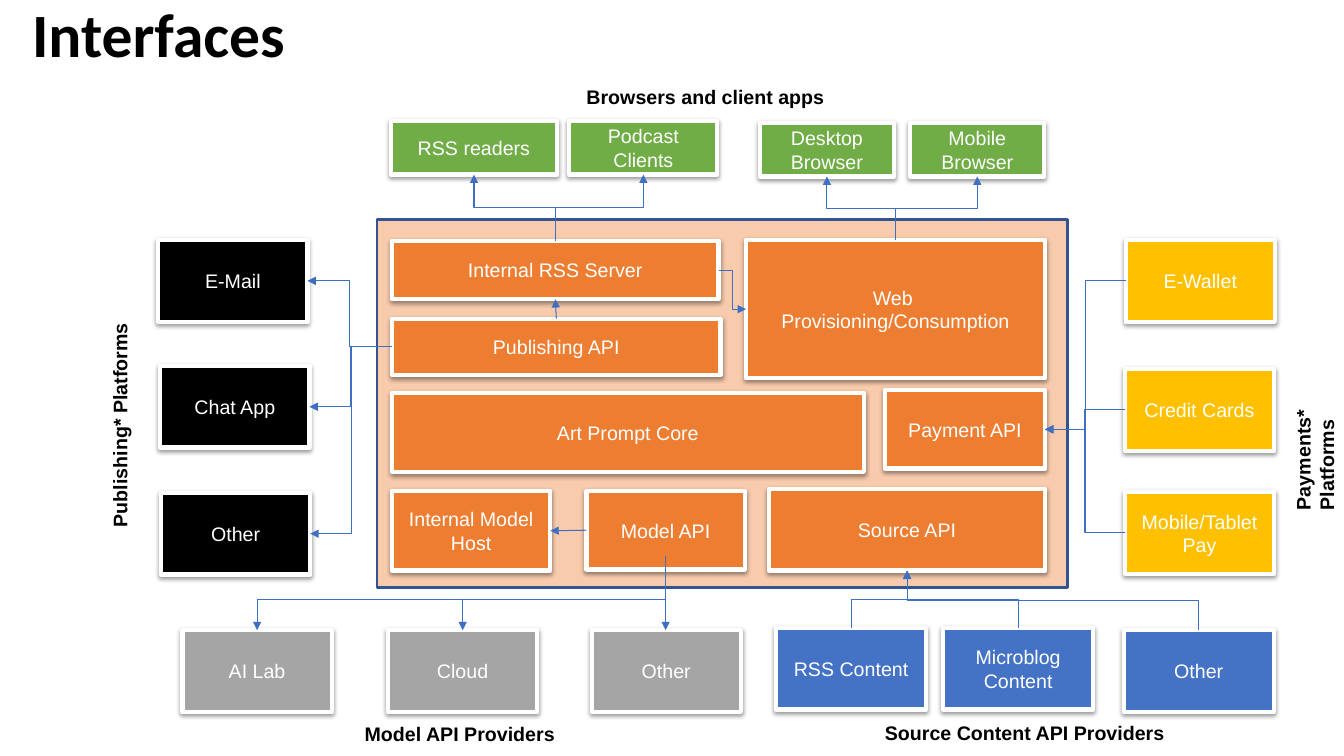
import pptx
import pptx.dml.color
import pptx.enum.shapes
import pptx.enum.text
import pptx.oxml
import pptx.oxml.ns
import pptx.util

Cm = pptx.util.Cm
Pt = pptx.util.Pt

ORANGE, GREEN, BLACK, YELLOW = "ED7D31", "70AD47", "000000", "FFC000"
GREY, BLUE, WHITE, ARROW = "A5A5A5", "4472C4", "FFFFFF", "3F6FC3"

# Left, top, width and height in centimetres
BOXES = {
    "rss_server": ("Internal RSS Server", ORANGE, 9.88, 6.07, 8.23, 1.47),
    "web": ("Web \nProvisioning/Consumption", ORANGE, 18.8, 6.05, 7.54, 3.48),
    "core": ("Art Prompt Core", ORANGE, 9.88, 9.91, 11.89, 1.98),
    "publishing": ("Publishing API", ORANGE, 9.88, 8.03, 8.28, 1.42),
    "payment": ("Payment API", ORANGE, 22.3, 9.83, 4.04, 1.98),
    "model_host": ("Internal Model Host", ORANGE, 9.88, 12.37, 3.99, 2.01),
    "model": ("Model API", ORANGE, 14.78, 12.37, 3.99, 1.98),
    "source": ("Source API", ORANGE, 19.38, 12.32, 6.96, 2.06),
    "rss_readers": ("RSS readers", GREEN, 9.86, 3.05, 4.17, 1.35),
    "podcasts": ("Podcast Clients", GREEN, 14.35, 3.05, 3.73, 1.35),
    "desktop": ("Desktop Browser", GREEN, 19.15, 3.1, 3.38, 1.35),
    "mobile": ("Mobile Browser", GREEN, 22.94, 3.1, 3.38, 1.35),
    "email": ("E-Mail", BLACK, 3.99, 6.05, 3.76, 2.06),
    "messenger": ("Chat App", BLACK, 4.04, 9.22, 3.76, 2.06),
    "other_publisher": ("Other", BLACK, 4.06, 12.42, 3.76, 2.06),
    "wallet": ("E-Wallet", YELLOW, 28.37, 6.05, 3.76, 2.06),
    "cards": ("Credit Cards", YELLOW, 28.35, 9.3, 3.76, 2.06),
    "device_pay": ("Mobile/Tablet Pay", YELLOW, 28.35, 12.4, 3.76, 2.06),
    "model_vendor": ("AI Lab", GREY, 4.6, 15.88, 3.76, 2.06),
    "cloud": ("Cloud", GREY, 9.78, 15.88, 3.76, 2.06),
    "other_model": ("Other", GREY, 14.91, 15.88, 3.76, 2.06),
    "rss_content": ("RSS Content", BLUE, 19.56, 15.82, 3.78, 2.06),
    "social": ("Microblog Content", BLUE, 23.77, 15.82, 3.78, 2.06),
    "other_source": ("Other", BLUE, 28.32, 15.88, 3.78, 2.06),
}

# From box, side it leaves, to boxes, side they are reached
ELBOWS = [
    ("publishing", "left", ["email", "messenger", "other_publisher"], "right"),
    ("model", "bottom", ["model_vendor", "cloud"], "top"),
    ("web", "top", ["desktop", "mobile"], "bottom"),
    ("rss_server", "top", ["rss_readers", "podcasts"], "bottom"),
    ("rss_content", "top", ["source"], "bottom"),
    ("social", "top", ["source"], "bottom"),
    ("other_source", "top", ["source"], "bottom"),
    ("wallet", "left", ["payment"], "right"),
    ("cards", "left", ["payment"], "right"),
    ("device_pay", "left", ["payment"], "right"),
    ("rss_server", "right", ["web"], "left"),
]

LABELS = [
    ("Browsers and client apps", 14.53, 2.01, 8.33, 0.86, False),
    ("Model API Providers", 8.94, 18.06, 5.92, 0.86, False),
    ("Source Content API Providers", 22.05, 18.03, 8.48, 0.86, False),
    ("Publishing* Platforms", 2.59, 6.81, 1.12, 6.73, True),
    ("Payments* Platforms", 32.41, 7.8, 1.12, 5.31, True),
]


def colour(value):
    return pptx.dml.color.RGBColor.from_string(value)


def write(frame, text, size, hue, font="Arial", bold=False, align=None):
    frame.word_wrap = True
    for index, line in enumerate(text.split("\n")):
        para = frame.add_paragraph() if index else frame.paragraphs[0]
        para.alignment = align
        span = para.add_run()
        span.text = line
        span.font.name = font
        span.font.size = Pt(size)
        span.font.bold = bold
        span.font.color.rgb = colour(hue)


def add_rectangle(page, left, top, width, height, fill, line, weight):
    box = page.shapes.add_shape(pptx.enum.shapes.MSO_SHAPE.RECTANGLE,
                                Cm(left), Cm(top), Cm(width), Cm(height))
    box.fill.solid()
    box.fill.fore_color.rgb = colour(fill)
    box.line.color.rgb = colour(line)
    box.line.width = Pt(weight)
    box.shadow.inherit = False
    return box


def add_box(page, text, fill, left, top, width, height):
    box = add_rectangle(page, left, top, width, height, fill, WHITE, 3)
    effects = box.element.spPr.find(pptx.oxml.ns.qn("a:effectLst"))
    effects.append(pptx.oxml.parse_xml(
        f'<a:outerShdw {pptx.oxml.ns.nsdecls("a")} blurRad="40000" dist="20000" '
        'dir="5400000" rotWithShape="0"><a:srgbClr val="000000">'
        '<a:alpha val="38000"/></a:srgbClr></a:outerShdw>'))
    box.text_frame.vertical_anchor = pptx.enum.text.MSO_ANCHOR.MIDDLE
    write(box.text_frame, text, 14, WHITE, align=pptx.enum.text.PP_ALIGN.CENTER)


def add_label(page, text, left, top, width, height, upright):
    box = page.shapes.add_textbox(Cm(left), Cm(top), Cm(width), Cm(height))
    write(box.text_frame, text, 14, BLACK, bold=True)
    if upright:
        box.text_frame._txBody.bodyPr.set("vert", "vert270")


def side(name, edge):
    """Middle of one edge of a box."""
    left, top, width, height = BOXES[name][2:]
    across, down = {"left": (0, 0.5), "right": (1, 0.5),
                    "top": (0.5, 0), "bottom": (0.5, 1)}[edge]
    return left + across * width, top + down * height


def add_arrow(page, start, end, kind="STRAIGHT"):
    connector = page.shapes.add_connector(
        pptx.enum.shapes.MSO_CONNECTOR[kind],
        *(Cm(value) for value in (*start, *end)))
    connector.line.color.rgb = colour(ARROW)
    connector.line.width = Pt(0.75)
    names = pptx.oxml.ns.nsdecls("a")
    connector.line._get_or_add_ln().append(
        pptx.oxml.parse_xml(f'<a:tailEnd {names} type="triangle"/>'))
    connector.element.spPr.append(pptx.oxml.parse_xml(f"<a:effectLst {names}/>"))
    return connector


def add_upright_elbow(page, start, end):
    """Elbow that leaves vertically: a level one turned about its centre."""
    run, rise = end[0] - start[0], end[1] - start[1]
    middle_x, middle_y = (start[0] + end[0]) / 2, (start[1] + end[1]) / 2
    half_width, half_height = abs(rise) / 2, abs(run) / 2
    if (run > 0) == (rise > 0):
        half_height = -half_height
    connector = add_arrow(page, (middle_x - half_width, middle_y - half_height),
                          (middle_x + half_width, middle_y + half_height), "ELBOW")
    turn = 90 if rise > 0 else 270
    frame = connector.element.spPr.find(pptx.oxml.ns.qn("a:xfrm"))
    frame.set("rot", str(turn * 60000))


def main():
    deck = pptx.Presentation()
    deck.slide_width, deck.slide_height = Cm(33.87), Cm(19.05)
    page = deck.slides.add_slide(deck.slide_layouts[6])

    # Title
    title = page.shapes.add_textbox(Cm(0.56), Cm(0.15), Cm(7.21), Cm(1.6))
    title.text_frame.vertical_anchor = pptx.enum.text.MSO_ANCHOR.MIDDLE
    write(title.text_frame, "Interfaces", 44, BLACK, font="Calibri", bold=True)
    title.text_frame.paragraphs[0].line_spacing = 0.9

    # System panel and all boxes
    add_rectangle(page, 9.5, 5.54, 17.4, 9.27, "F8CBAD", "325491", 2)
    for box in BOXES.values():
        add_box(page, *box)

    # Straight arrows
    add_arrow(page, side("publishing", "top"), side("rss_server", "bottom"))
    add_arrow(page, side("model", "left"), side("model_host", "right"))
    model_x = side("model", "bottom")[0]
    add_arrow(page, (model_x, 14), (model_x, side("other_model", "top")[1]))

    # Elbow arrows
    for origin, leaving, targets, reaching in ELBOWS:
        for target in targets:
            start, end = side(origin, leaving), side(target, reaching)
            if leaving in ("top", "bottom"):
                add_upright_elbow(page, start, end)
            else:
                add_arrow(page, start, end, "ELBOW")

    # Group labels
    for label in LABELS:
        add_label(page, *label)

    deck.save("out.pptx")


if __name__ == "__main__":
    main()
